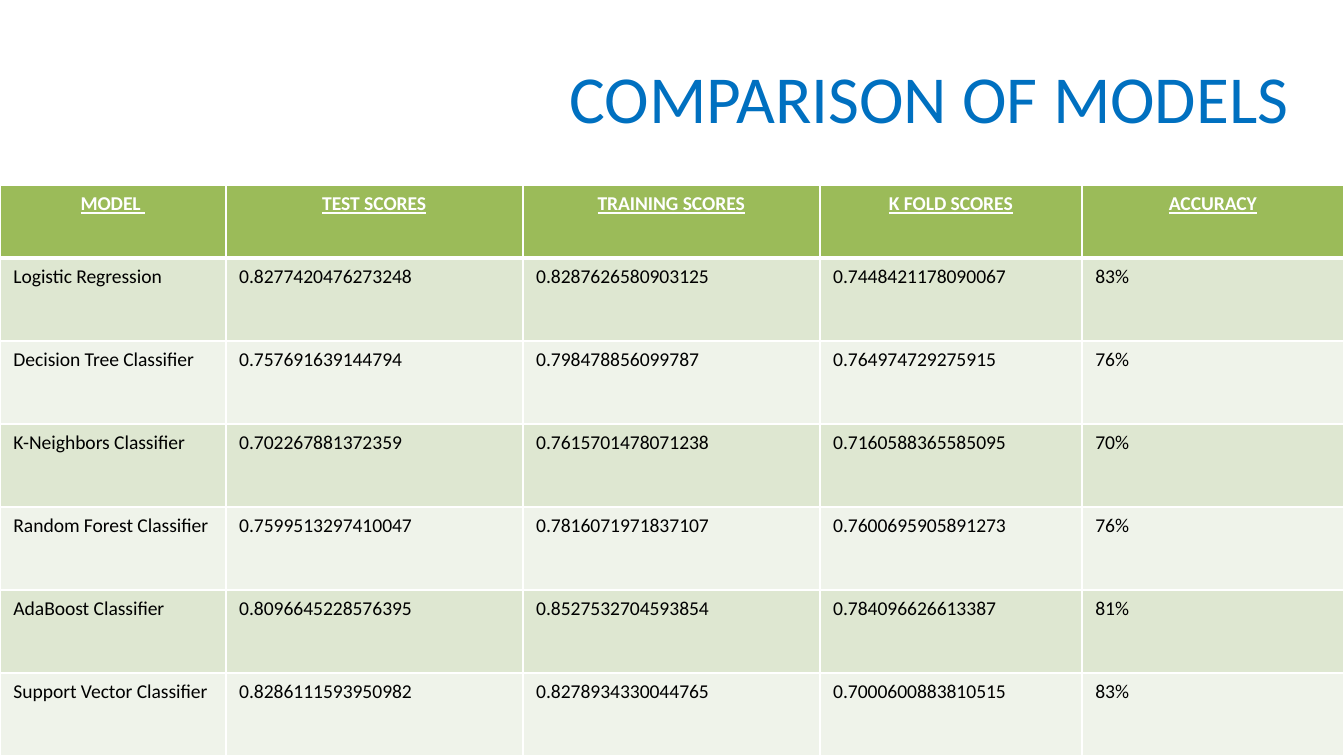
"""Build a slide that compares the scores of six classification models."""
from lxml.etree import SubElement
from pptx import Presentation
from pptx.dml.color import RGBColor
from pptx.enum.text import MSO_ANCHOR as Anchor, PP_ALIGN as Align
from pptx.oxml.ns import qn
from pptx.util import Inches, Pt

BLUE = RGBColor(0x00, 0x70, 0xC0)
GREEN = RGBColor(0x9B, 0xBB, 0x59)
BANDS = [RGBColor(0xEF, 0xF3, 0xEA), RGBColor(0xDE, 0xE7, 0xD1)]
WHITE = RGBColor(0xFF, 0xFF, 0xFF)
BLACK = RGBColor(0x00, 0x00, 0x00)

SCORES = [
    ("MODEL ", "TEST SCORES", "TRAINING SCORES", "K FOLD SCORES", "ACCURACY"),
    ("Logistic Regression", "0.8277420476273248", "0.8287626580903125", "0.7448421178090067", "83%"),
    ("Decision Tree Classifier", "0.757691639144794", "0.798478856099787", "0.764974729275915", "76%"),
    ("K-Neighbors Classifier", "0.702267881372359", "0.7615701478071238", "0.7160588365585095", "70%"),
    ("Random Forest Classifier", "0.7599513297410047", "0.7816071971837107", "0.7600695905891273", "76%"),
    ("AdaBoost Classifier", "0.8096645228576395", "0.8527532704593854", "0.784096626613387", "81%"),
    ("Support Vector Classifier", "0.8286111593950982", "0.8278934330044765", "0.7000600883810515", "83%"),
]
COLUMN_WIDTHS = [1.68, 2.21, 2.21, 1.95, 1.95]
TABLE_TOP = Inches(1.38)
HEADER_HEIGHT = Inches(0.54)


def add_run(paragraph, text, size, color):
    run = paragraph.add_run()
    run.text = text
    run.font.name = "Calibri"
    run.font.size = Pt(size)
    run.font.color.rgb = color
    return run


def add_border(cell, side, width):
    line = SubElement(cell._tc.get_or_add_tcPr(), qn(f"a:ln{side}"), w=str(Pt(width)))
    SubElement(SubElement(line, qn("a:solidFill")), qn("a:srgbClr"), val=str(WHITE))


deck = Presentation()
deck.slide_width = Inches(10)
deck.slide_height = deck.slide_width * 9 // 16
slide = deck.slides.add_slide(deck.slide_layouts[6])

heading = slide.shapes.add_textbox(Inches(4.05), Inches(0.3), Inches(5.75), Inches(0.84)).text_frame
heading.word_wrap = True
heading.vertical_anchor = Anchor.MIDDLE
heading.paragraphs[0].alignment = Align.RIGHT
add_run(heading.paragraphs[0], "COMPARISON OF MODELS ", 36, BLUE)

table_height = deck.slide_height - TABLE_TOP
row_height = (table_height - HEADER_HEIGHT) // (len(SCORES) - 1)
comparison = slide.shapes.add_table(
    len(SCORES), len(COLUMN_WIDTHS), 0, TABLE_TOP, deck.slide_width, table_height
).table
for column, width in zip(comparison.columns, COLUMN_WIDTHS):
    column.width = Inches(width)

for index, values in enumerate(SCORES):
    is_header = index == 0
    comparison.rows[index].height = HEADER_HEIGHT if is_header else row_height
    for cell, value in zip(comparison.rows[index].cells, values):
        for side in "LRTB":
            below_header = (is_header and side == "B") or (index == 1 and side == "T")
            add_border(cell, side, 3 if below_header else 1)
        cell.fill.solid()
        cell.fill.fore_color.rgb = GREEN if is_header else BANDS[index % 2]
        paragraph = cell.text_frame.paragraphs[0]
        paragraph.alignment = Align.CENTER if is_header else Align.LEFT
        run = add_run(paragraph, value, 10.5, WHITE if is_header else BLACK)
        run.font.bold = run.font.underline = is_header

deck.save("out.pptx")
